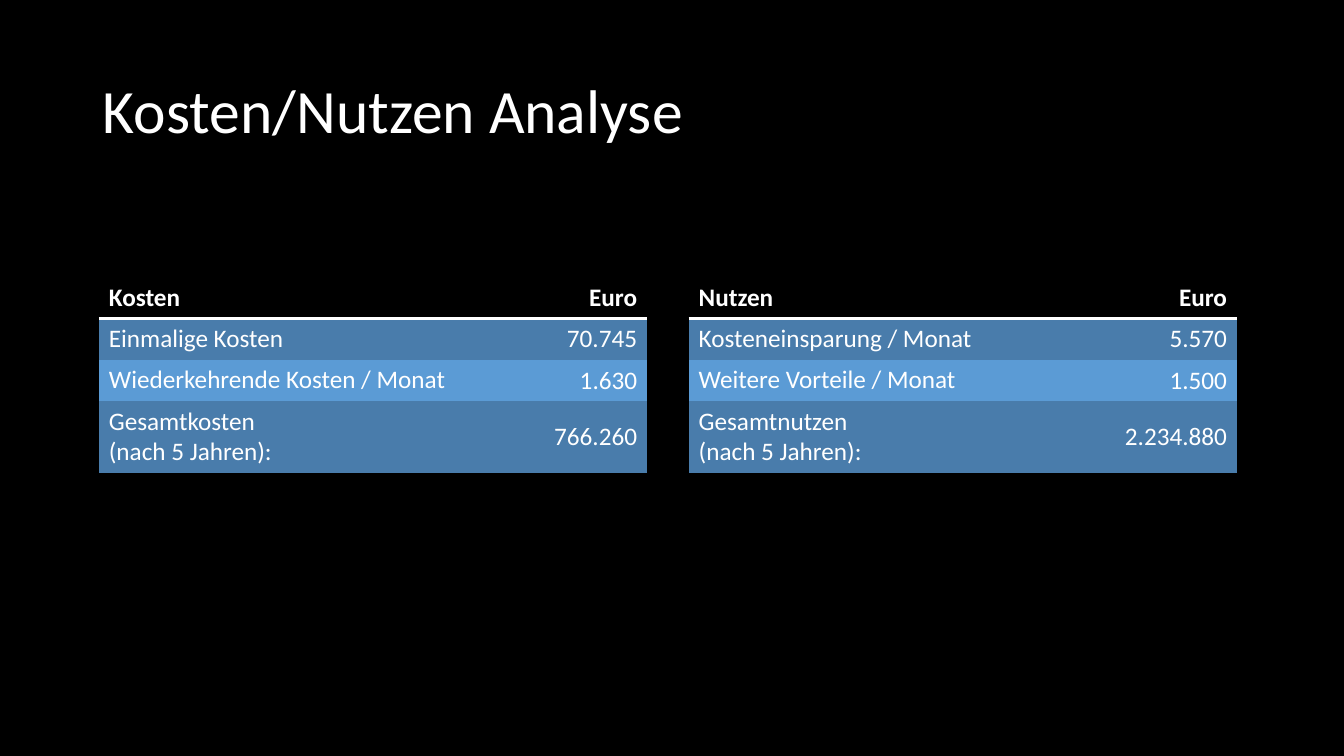
"""Build the cost/benefit slide with its two comparison tables."""
from dataclasses import dataclass

import pptx
import pptx.dml.color
import pptx.enum.text
import pptx.oxml
import pptx.oxml.ns
import pptx.slide
import pptx.table
import pptx.text.text
import pptx.util

Inches = pptx.util.Inches
RGBColor = pptx.dml.color.RGBColor
PP_ALIGN = pptx.enum.text.PP_ALIGN
MSO_ANCHOR = pptx.enum.text.MSO_ANCHOR
qn = pptx.oxml.ns.qn

BLACK = RGBColor(0x00, 0x00, 0x00)
WHITE = RGBColor(0xFF, 0xFF, 0xFF)
DARK_BLUE = RGBColor(0x49, 0x7C, 0xAB)
LIGHT_BLUE = RGBColor(0x5B, 0x9B, 0xD5)
ROW_FILLS = (BLACK, DARK_BLUE, LIGHT_BLUE, DARK_BLUE)

TABLE_TOP = Inches(2.75)
TABLE_HEIGHT = Inches(1.92)
COLUMN_WIDTHS = (Inches(3.94), Inches(1.5))
ROW_HEIGHT = Inches(0.41)
PLAIN_TABLE_STYLE = "{2D5ABB26-0587-4C30-8999-92F81FD0307C}"
HEADER_RULE = (
    f'<a:lnB xmlns:a="http://schemas.openxmlformats.org/drawingml/2006/main" '
    f'w="{pptx.util.Pt(2)}"><a:solidFill><a:srgbClr val="{WHITE}"/></a:solidFill></a:lnB>'
)


@dataclass(frozen=True)
class Balance:
    left: float
    rows: tuple[tuple[str, str], ...]


BALANCES = (
    Balance(0.98, (
        ("Kosten", "Euro"),
        ("Einmalige Kosten", "70.745"),
        ("Wiederkehrende Kosten / Monat", "1.630"),
        ("Gesamtkosten\n(nach 5 Jahren):", "766.260"),
    )),
    Balance(6.83, (
        ("Nutzen", "Euro"),
        ("Kosteneinsparung / Monat", "5.570"),
        ("Weitere Vorteile / Monat", "1.500"),
        ("Gesamtnutzen\n(nach 5 Jahren):", "2.234.880"),
    )),
)


def write(paragraph: pptx.text.text._Paragraph, wording: str, size: int,
          bold: bool, alignment: PP_ALIGN) -> None:
    paragraph.text = wording
    paragraph.alignment = alignment
    font_format = {"name": "Calibri", "size": pptx.util.Pt(size), "bold": bold}
    for run in paragraph.runs:
        for attribute, setting in font_format.items():
            setattr(run.font, attribute, setting)
        run.font.color.rgb = WHITE


def fill_cell(cell: pptx.table._Cell, wording: str, row: int, is_amount: bool) -> None:
    is_header = row == 0
    cell.fill.solid()
    cell.fill.fore_color.rgb = ROW_FILLS[row]
    centred = is_amount and not is_header
    cell.vertical_anchor = MSO_ANCHOR.MIDDLE if centred else MSO_ANCHOR.TOP
    alignment = PP_ALIGN.RIGHT if is_amount else PP_ALIGN.LEFT
    write(cell.text_frame.paragraphs[0], wording, 18, is_header, alignment)
    if is_header:
        cell._tc.get_or_add_tcPr().insert(0, pptx.oxml.parse_xml(HEADER_RULE))


def add_balance(slide: pptx.slide.Slide, balance: Balance) -> None:
    frame = slide.shapes.add_table(
        len(balance.rows), len(COLUMN_WIDTHS), Inches(balance.left), TABLE_TOP,
        sum(COLUMN_WIDTHS), TABLE_HEIGHT)
    frame.element.find(".//" + qn("a:tableStyleId")).text = PLAIN_TABLE_STYLE
    for column, width in zip(frame.table.columns, COLUMN_WIDTHS):
        column.width = width
    for row, entries in enumerate(balance.rows):
        frame.table.rows[row].height = ROW_HEIGHT
        for column, wording in enumerate(entries):
            fill_cell(frame.table.cell(row, column), wording, row, column == 1)
    frame.height = TABLE_HEIGHT


def add_heading(slide: pptx.slide.Slide) -> None:
    heading = slide.shapes.title
    placement = {"left": 0.92, "top": 0.4, "width": 11.5, "height": 1.45}
    for attribute, length in placement.items():
        setattr(heading, attribute, Inches(length))
    heading.text_frame.vertical_anchor = MSO_ANCHOR.MIDDLE
    heading_line = heading.text_frame.paragraphs[0]
    write(heading_line, "Kosten/Nutzen Analyse", 44, False, PP_ALIGN.LEFT)
    heading_line.line_spacing = 0.9


def main() -> None:
    presentation = pptx.Presentation()
    presentation.slide_width = Inches(13.33)
    presentation.slide_height = Inches(7.5)
    slide = presentation.slides.add_slide(presentation.slide_layouts[5])
    slide.background.fill.solid()
    slide.background.fill.fore_color.rgb = BLACK
    add_heading(slide)
    for balance in BALANCES:
        add_balance(slide, balance)
    presentation.save("out.pptx")


if __name__ == "__main__":
    main()
